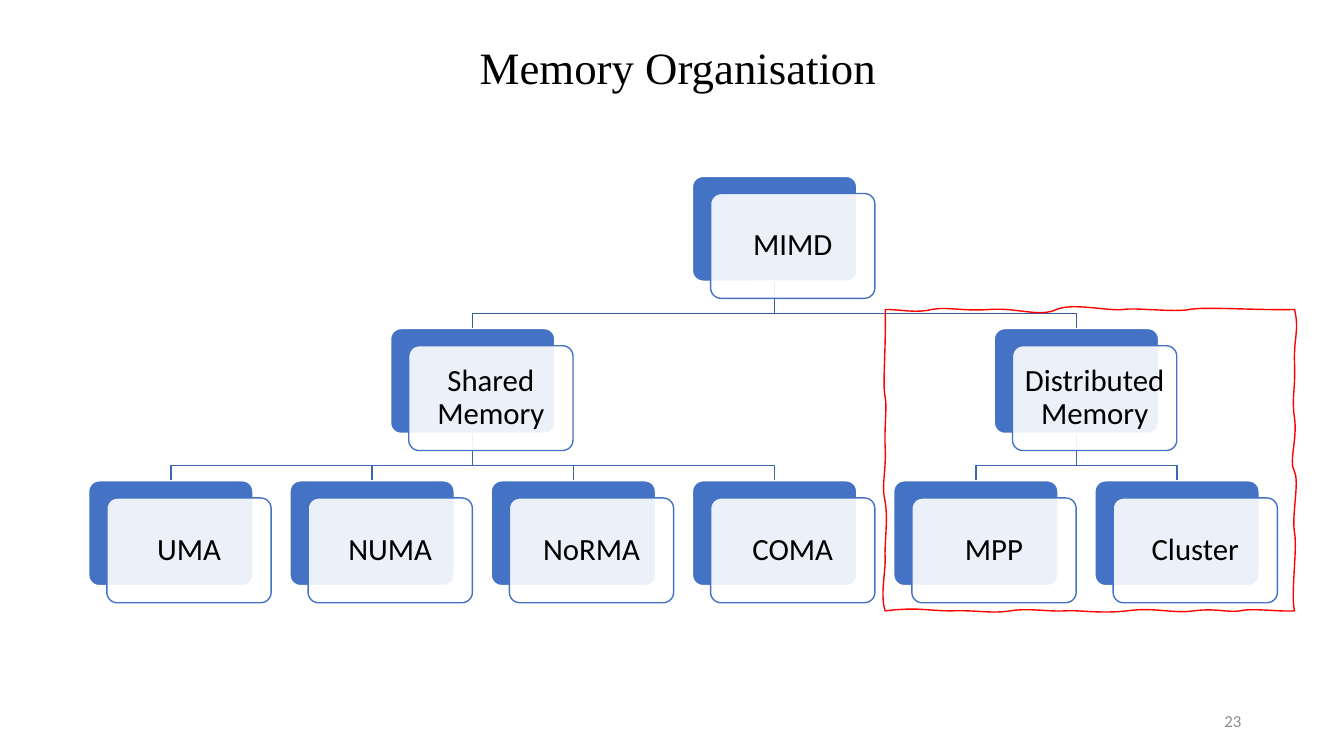
"""Build the Memory Organisation slide with its tree of MIMD machines."""
from pptx import Presentation
from pptx.dml.color import RGBColor
from pptx.enum.shapes import MSO_SHAPE as Shape
from pptx.enum.text import MSO_ANCHOR as Anchor, PP_ALIGN as Align
from pptx.oxml.ns import qn
from pptx.util import Inches, Pt
from lxml.etree import SubElement

ROOT = "MIMD"
TREE = {
    ROOT: (3, 0, None),
    "Distributed Memory": (4.5, 1, ROOT),
    "Cluster": (5, 2, "Distributed Memory"),
    "MPP": (4, 2, "Distributed Memory"),
    "Shared Memory": (1.5, 1, ROOT),
    "COMA": (3, 2, "Shared Memory"),
    "NoRMA": (2, 2, "Shared Memory"),
    "NUMA": (1, 2, "Shared Memory"),
    "UMA": (0, 2, "Shared Memory"),
}
LINK_COLORS = {1: "365B9D", 2: "3E67B2"}

FRAME_START = (8.78, 3.07)
FRAME_CURVES = [
    (8.95, 3.07, 9.08, 3.11, 9.24, 3.07), (9.39, 3.04, 9.54, 3.09, 9.82, 3.07),
    (10.09, 3.05, 10.31, 3.15, 10.48, 3.07), (10.64, 3, 11, 3.09, 11.14, 3.07),
    (11.27, 3.05, 11.65, 3.1, 11.8, 3.07), (11.95, 3.04, 12.47, 3.08, 12.84, 3.07),
    (12.89, 3.28, 12.83, 3.35, 12.84, 3.61), (12.85, 3.87, 12.81, 3.94, 12.84, 4.15),
    (12.87, 4.35, 12.78, 4.58, 12.84, 4.68), (12.89, 4.79, 12.81, 5.11, 12.84, 5.28),
    (12.87, 5.46, 12.8, 5.89, 12.84, 6.06), (12.67, 6.07, 12.42, 6.03, 12.3, 6.06),
    (12.17, 6.08, 12.06, 6.03, 11.84, 6.06), (11.62, 6.09, 11.45, 6.02, 11.18, 6.06),
    (10.91, 6.09, 10.71, 6.05, 10.56, 6.06), (10.41, 6.07, 10.2, 6.03, 10.02, 6.06),
    (9.83, 6.09, 9.68, 6.05, 9.44, 6.06), (9.19, 6.06, 9.11, 6.02, 8.78, 6.06),
    (8.73, 5.91, 8.78, 5.7, 8.78, 5.55), (8.77, 5.4, 8.81, 5.16, 8.78, 4.98),
    (8.74, 4.81, 8.79, 4.68, 8.78, 4.45), (8.77, 4.21, 8.8, 4.04, 8.78, 3.94),
    (8.75, 3.83, 8.79, 3.47, 8.78, 3.07),
]


def color(hex_code):
    return RGBColor.from_string(hex_code)


def write(frame, text, size, font="Calibri", ink="000000", align=Align.CENTER,
          margins=(0.1, 0.05, 0.1, 0.05), spacing=1.0):
    frame.word_wrap = True
    frame.vertical_anchor = Anchor.MIDDLE
    (frame.margin_left, frame.margin_top,
     frame.margin_right, frame.margin_bottom) = map(Inches, margins)
    paragraph = frame.paragraphs[0]
    paragraph.alignment = align
    paragraph.line_spacing = spacing
    run = paragraph.add_run()
    run.text = text
    run.font.size = Pt(size)
    run.font.name = font
    run.font.color.rgb = color(ink)


class TreeSlide:
    accent = "4472C4"
    paper = "FFFFFF"
    card_width, card_height = 1.63, 1.04
    left, top = 0.88, 1.75
    column_step, row_step = 9.98 / 5, 1.51
    card_shift = (0.18, 0.17)

    def __init__(self, slide):
        self.shapes = slide.shapes

    def text(self, text, box, size, **style):
        label = self.shapes.add_textbox(*map(Inches, box))
        write(label.text_frame, text, size, **style)

    def outline(self, points, line, close=False):
        corners = [(Inches(x), Inches(y)) for x, y in points]
        builder = self.shapes.build_freeform(*corners[0])
        builder.add_line_segments(corners[1:], close=close)
        drawn = builder.convert_to_shape()
        drawn.shadow.inherit = False
        drawn.fill.background()
        drawn.line.color.rgb = color(line)
        drawn.line.width = Pt(1)
        return drawn

    def curved_outline(self, start, curves, line):
        ends = [curve[4:] for curve in curves]
        drawn = self.outline([start] + ends, line, close=True)
        segments = list(drawn._element.iter(qn("a:lnTo")))
        for segment, curve in zip(segments, curves):
            segment.tag = qn("a:cubicBezTo")
            segment.remove(segment[0])
            for x, y in zip(curve[::2], curve[1::2]):
                point = SubElement(segment, qn("a:pt"))
                point.set("x", str(Inches(x) - drawn.left))
                point.set("y", str(Inches(y) - drawn.top))

    def place(self, column, row):
        return self.left + column * self.column_step, self.top + row * self.row_step

    def link(self, parent, child):
        parent_x, parent_y = self.place(*parent)
        child_x, child_y = self.place(*child)
        parent_x += self.card_width / 2
        child_x += self.card_width / 2
        bend = child_y - 0.15
        self.outline([(parent_x, parent_y + self.card_height), (parent_x, bend),
                      (child_x, bend), (child_x, child_y)], LINK_COLORS[child[1]])

    def card(self, x, y, fill, line):
        card = self.shapes.add_shape(Shape.ROUNDED_RECTANGLE, Inches(x), Inches(y),
                                     Inches(self.card_width), Inches(self.card_height))
        card.adjustments[0] = 0.1
        card.shadow.inherit = False
        card.fill.solid()
        card.fill.fore_color.rgb = color(fill)
        card.line.color.rgb = color(line)
        card.line.width = Pt(1)
        return card

    def node(self, label, column, row):
        x, y = self.place(column, row)
        self.card(x, y, self.accent, self.paper)
        shift_x, shift_y = self.card_shift
        front = self.card(x + shift_x, y + shift_y, self.paper, self.accent)
        tint = front._element.spPr.find(qn("a:solidFill"))[0]
        SubElement(tint, qn("a:alpha")).set("val", "90000")
        write(front.text_frame, label, 22, margins=(0.08,) * 4, spacing=0.9)


def main():
    deck = Presentation()
    deck.slide_width, deck.slide_height = Inches(13.33), Inches(7.5)
    page = TreeSlide(deck.slides.add_slide(deck.slide_layouts[6]))
    page.text("23", (9.41, 6.95, 3, 0.4), 12, ink="8C8C8C", align=Align.RIGHT)
    page.text("Memory Organisation", (2.18, 0.38, 9.09, 0.55), 32,
              font="Times New Roman", margins=(0, 0.01, 0, 0))
    for column, row, parent in TREE.values():
        if parent:
            page.link(TREE[parent][:2], (column, row))
    for label, (column, row, _) in TREE.items():
        page.node(label, column, row)
    page.curved_outline(FRAME_START, FRAME_CURVES, "FF0000")
    deck.save("out.pptx")


if __name__ == "__main__":
    main()
